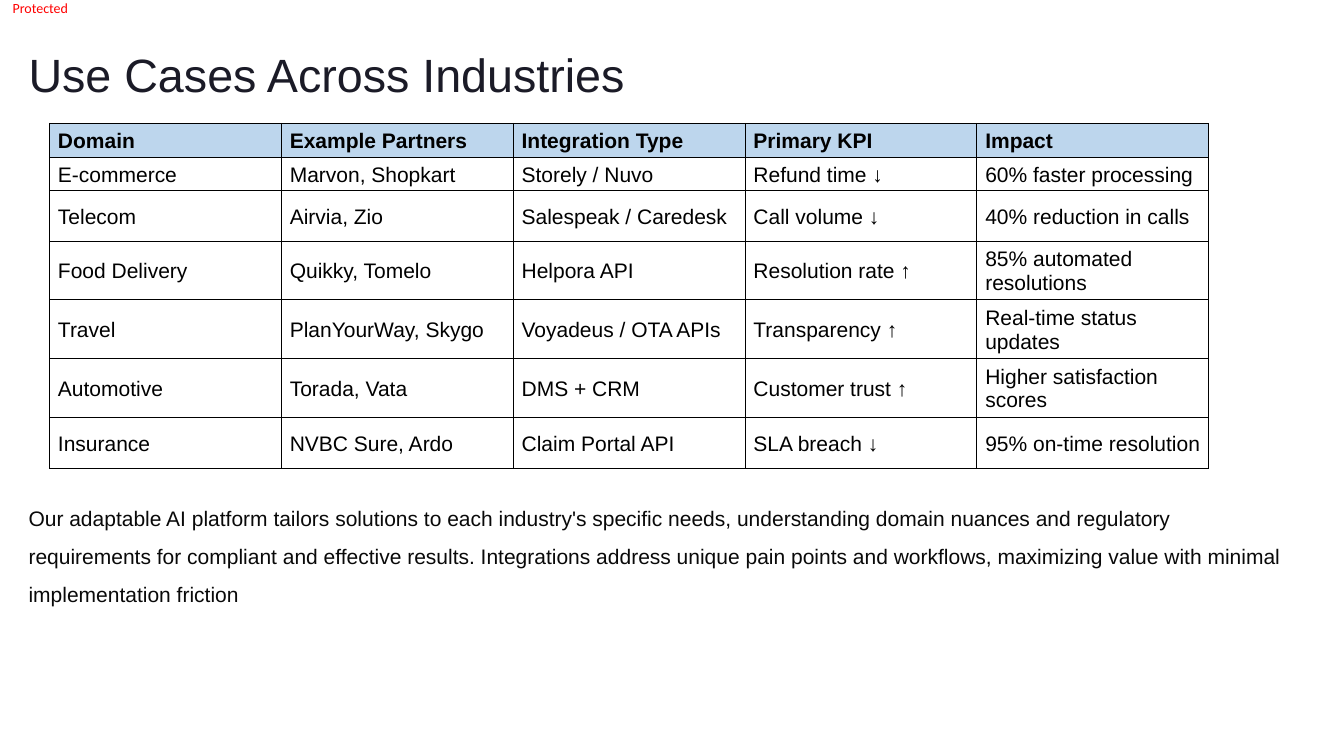
from dataclasses import dataclass

from lxml import etree
from pptx import Presentation
from pptx import util as u
from pptx.dml.color import RGBColor
from pptx.enum import text
from pptx.oxml import ns

GRID_COLUMNS, GRID_ROWS = 16, 9
SLIDE_WIDTH, SLIDE_HEIGHT = u.Inches(16), u.Inches(9)


@dataclass(frozen=True)
class Area:
    column: float
    row: float
    columns: float
    rows: float


@dataclass(frozen=True)
class Style:
    size: float
    color: str
    font: str = "Arial"
    bold: bool = False


@dataclass(frozen=True)
class Caption:
    words: str
    area: Area
    style: Style
    line_spacing: float = 1.0


@dataclass(frozen=True)
class UseCase:
    height: float
    cells: tuple[str, ...]
    header: bool = False


HEADER_STYLE = Style(18, "000000", bold=True)
CELL_STYLE = Style(18, "000000")
HEADER_FILL = "BDD6ED"
BORDER_COLOR = "000000"

CAPTIONS = [
    Caption("Protected", Area(0.15, -0.02, 0.7, 0.23), Style(12, "FF0000", "Calibri")),
    Caption("Use Cases Across Industries", Area(0.34, 0.53, 7.2, 0.69), Style(40, "1B1B27")),
    Caption(
        "Our adaptable AI platform tailors solutions to each industry's specific needs, "
        "understanding domain nuances and regulatory requirements for compliant and effective "
        "results. Integrations address unique pain points and workflows, maximizing value with "
        "minimal implementation friction",
        Area(0.34, 5.86, 15, 1.38), Style(18, "090909"), 1.5,
    ),
]

TABLE_AREA = Area(0.59, 1.47, 13.8, 4.11)
USE_CASES = [
    UseCase(0.4, ("Domain", "Example Partners", "Integration Type", "Primary KPI", "Impact"), True),
    UseCase(0.4, ("E-commerce", "Marvon, Shopkart", "Storely / Nuvo", "Refund time ↓",
                  "60% faster processing")),
    UseCase(0.6, ("Telecom", "Airvia, Zio", "Salespeak / Caredesk", "Call volume ↓",
                  "40% reduction in calls")),
    UseCase(0.7, ("Food Delivery", "Quikky, Tomelo", "Helpora API", "Resolution rate ↑",
                  "85% automated resolutions")),
    UseCase(0.7, ("Travel", "PlanYourWay, Skygo", "Voyadeus / OTA APIs", "Transparency ↑",
                  "Real-time status updates")),
    UseCase(0.7, ("Automotive", "Torada, Vata", "DMS + CRM", "Customer trust ↑",
                  "Higher satisfaction scores")),
    UseCase(0.61, ("Insurance", "NVBC Sure, Ardo", "Claim Portal API", "SLA breach ↓",
                   "95% on-time resolution")),
]


def across(columns: float) -> int:
    return round(SLIDE_WIDTH * columns / GRID_COLUMNS)


def down(rows: float) -> int:
    return round(SLIDE_HEIGHT * rows / GRID_ROWS)


def place(area: Area) -> tuple[int, int, int, int]:
    return across(area.column), down(area.row), across(area.columns), down(area.rows)


def color(value: str) -> RGBColor:
    return RGBColor.from_string(value)


def add_span(para, words: str, style: Style) -> None:
    span = para.add_run()
    span.text = words
    span.font.name = style.font
    span.font.size = u.Pt(style.size)
    span.font.bold = style.bold
    span.font.color.rgb = color(style.color)


def add_caption(page, caption: Caption) -> None:
    frame = page.shapes.add_textbox(*place(caption.area)).text_frame
    frame.word_wrap = True
    frame.margin_left = frame.margin_right = frame.margin_bottom = 0
    frame.margin_top = down(0.01)
    para = frame.paragraphs[0]
    para.line_spacing = caption.line_spacing
    add_span(para, caption.words, caption.style)


def add_borders(cell) -> None:
    properties = cell._tc.get_or_add_tcPr()
    for side in ("L", "R", "T", "B"):
        line = etree.SubElement(properties, ns.qn(f"a:ln{side}"), w=str(u.Pt(1)))
        fill = etree.SubElement(line, ns.qn("a:solidFill"))
        etree.SubElement(fill, ns.qn("a:srgbClr"), val=BORDER_COLOR)


def fill_cell(cell, words: str, header: bool) -> None:
    cell.margin_left, cell.margin_right = across(0.1), 0
    cell.margin_top, cell.margin_bottom = down(0.02), 0
    cell.vertical_anchor = text.MSO_ANCHOR.MIDDLE
    add_borders(cell)
    if header:
        cell.fill.solid()
        cell.fill.fore_color.rgb = color(HEADER_FILL)
    else:
        cell.fill.background()
    add_span(cell.text_frame.paragraphs[0], words, HEADER_STYLE if header else CELL_STYLE)


def add_use_cases(page) -> None:
    count = len(USE_CASES[0].cells)
    table = page.shapes.add_table(len(USE_CASES), count, *place(TABLE_AREA)).table
    table.horz_banding = False
    for column in table.columns:
        column.width = across(TABLE_AREA.columns / count)
    for row, use_case in zip(table.rows, USE_CASES):
        row.height = down(use_case.height)
        for cell, words in zip(row.cells, use_case.cells):
            fill_cell(cell, words, use_case.header)


def main() -> None:
    deck = Presentation()
    deck.slide_width, deck.slide_height = SLIDE_WIDTH, SLIDE_HEIGHT
    page = deck.slides.add_slide(deck.slide_layouts[6])
    for caption in CAPTIONS:
        add_caption(page, caption)
    add_use_cases(page)
    deck.save("out.pptx")


if __name__ == "__main__":
    main()
